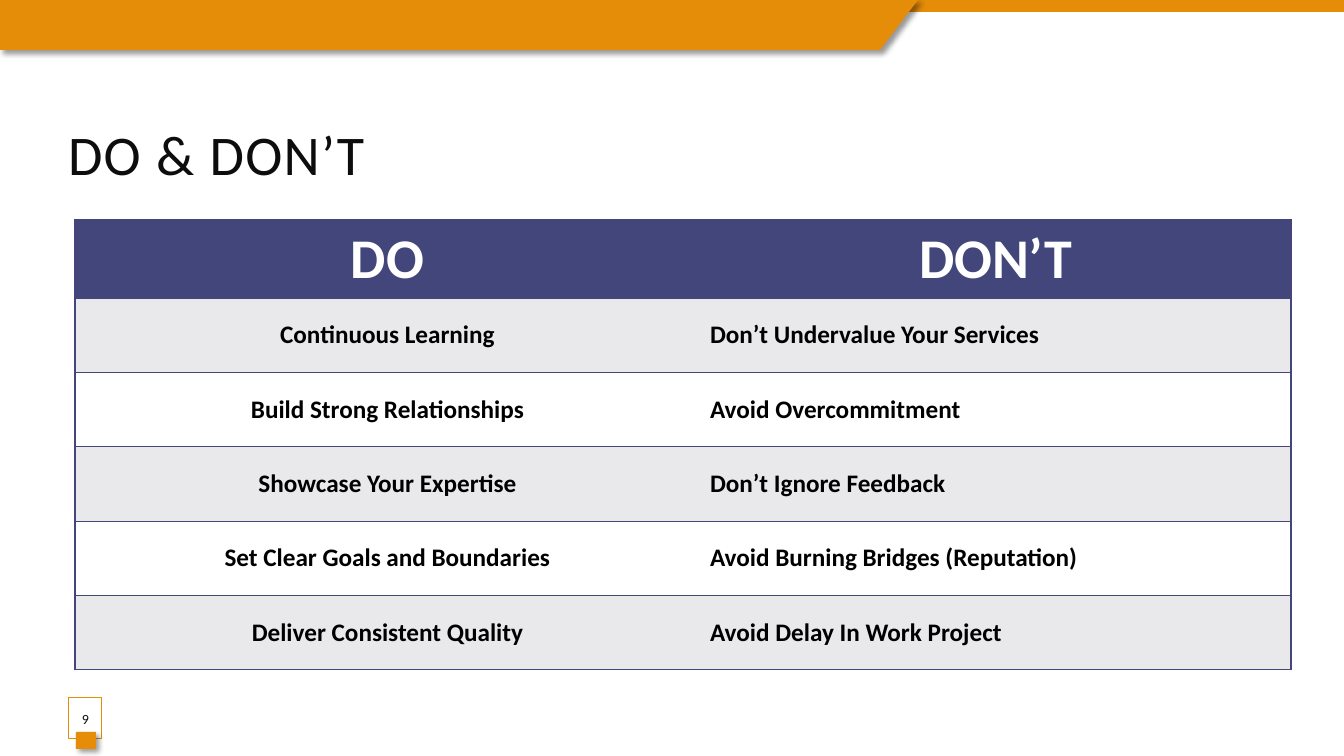
from lxml import etree
from pptx import Presentation
from pptx.dml.color import RGBColor
from pptx.enum.shapes import MSO_SHAPE
from pptx.enum.text import MSO_ANCHOR, PP_ALIGN
from pptx.oxml.ns import qn
from pptx.util import Emu, Pt

RECTANGLE = MSO_SHAPE.RECTANGLE
MIDDLE, BOTTOM = MSO_ANCHOR.MIDDLE, MSO_ANCHOR.BOTTOM
LEFT, CENTER = PP_ALIGN.LEFT, PP_ALIGN.CENTER

# Content
TITLE = "DO & DON’T"
PAGE_NUMBER = "9"
HEADINGS = ("DO", "DON’T")
ADVICE = [
    ("Continuous Learning", "Don’t Undervalue Your Services"),
    ("Build Strong Relationships", "Avoid Overcommitment"),
    ("Showcase Your Expertise", "Don’t Ignore Feedback"),
    ("Set Clear Goals and Boundaries", "Avoid Burning Bridges (Reputation)"),
    ("Deliver Consistent Quality", "Avoid Delay In Work Project"),
]

THEME = {
    "font": "Calibri",
    "orange": "E58C09", "navy": "43467B", "band": "E9E9EC",
    "white": "FFFFFF", "black": "000000", "ink": "0D0D0D",
    "heading_size": 40, "body_size": 18, "number_size": 10,
}

# Layout in px
SLIDE_SIZE = (1344, 756)
TOP_STRIP = (0, 0, 1344, 12)
BANNER = [(0, 0), (918, 0), (880, 50), (0, 50)]
TITLE_BOX = (60, 109, 1192, 78)
NUMBER_BOX = (69, 698, 33, 41)
NUMBER_TAB = (76, 732, 20, 17)
TABLE_BOX = (75, 220, 1216, 450)
FIRST_COLUMN, HEADER_HEIGHT = 625, 78
EMU_PER_PX = 914400 / 100.8


def px(length):
    return Emu(round(length * EMU_PER_PX))


def color(name):
    return RGBColor.from_string(THEME[name])


def apply(target, values):
    for name, value in values.items():
        setattr(target, name, value)


def add_node(parent, tag, **attributes):
    node = etree.SubElement(parent, qn(tag))
    for name, value in attributes.items():
        node.set(name, str(value))
    return node


def write(frame, text, size, ink, align=LEFT, bold=False):
    paragraph = frame.paragraphs[0]
    paragraph.alignment = align
    run = paragraph.add_run()
    run.text = text
    apply(run.font, {"name": THEME["font"], "size": Pt(size), "bold": bold})
    run.font.color.rgb = color(ink)
    return run


def paint(shape, fill):
    shape.shadow.inherit = False
    shape.fill.solid()
    shape.fill.fore_color.rgb = color(fill)
    shape.line.fill.background()


def add_rectangle(slide, box, fill):
    shape = slide.shapes.add_shape(RECTANGLE, *map(px, box))
    paint(shape, fill)
    return shape


def cast_shadow(shape):
    effects = shape._element.spPr.find(qn("a:effectLst"))
    shadow = add_node(effects, "a:outerShdw", blurRad=Pt(4), dist=Pt(3),
                      dir=45 * 60000, algn="tl", rotWithShape=0)
    add_node(add_node(shadow, "a:srgbClr", val=THEME["black"]), "a:alpha", val=40000)


def set_borders(cell, hidden_side):
    properties = cell._tc.get_or_add_tcPr()
    for side in ("lnL", "lnR", "lnT", "lnB"):
        line = add_node(properties, f"a:{side}", w=Pt(1))
        if side == hidden_side:
            add_node(line, "a:noFill")
        else:
            add_node(add_node(line, "a:solidFill"), "a:srgbClr", val=THEME["navy"])


def add_header_band(slide):
    add_rectangle(slide, TOP_STRIP, "orange")
    builder = slide.shapes.build_freeform(*BANNER[0], scale=EMU_PER_PX)
    builder.add_line_segments(BANNER[1:], close=True)
    banner = builder.convert_to_shape()
    paint(banner, "orange")
    cast_shadow(banner)


def add_title(slide):
    frame = slide.shapes.add_textbox(*map(px, TITLE_BOX)).text_frame
    apply(frame, {"word_wrap": True, "vertical_anchor": BOTTOM,
                  "margin_left": px(8), "margin_bottom": 0})
    run = write(frame, TITLE, THEME["heading_size"], "ink")
    run.font._element.set("spc", "100")


def add_page_number(slide):
    box = add_rectangle(slide, NUMBER_BOX, "white")
    tint = box._element.spPr.find(qn("a:solidFill"))[0]
    add_node(tint, "a:alpha", val=82000)
    box.line.color.rgb = color("orange")
    box.line.width = Pt(0.75)
    apply(box.text_frame, {"margin_left": 0, "margin_right": 0,
                           "vertical_anchor": MIDDLE})
    write(box.text_frame, PAGE_NUMBER, THEME["number_size"], "ink", CENTER)
    cast_shadow(add_rectangle(slide, NUMBER_TAB, "orange"))


def add_advice_table(slide):
    rows = [HEADINGS, *ADVICE]
    table = slide.shapes.add_table(len(rows), len(HEADINGS), *map(px, TABLE_BOX)).table
    width, height = TABLE_BOX[2:]
    for column, size in zip(table.columns, (FIRST_COLUMN, width - FIRST_COLUMN)):
        column.width = px(size)
    body_height = (height - HEADER_HEIGHT) / len(ADVICE)

    for row_index, texts in enumerate(rows):
        is_header = row_index == 0
        table.rows[row_index].height = px(HEADER_HEIGHT if is_header else body_height)
        fill = "navy" if is_header else ("white", "band")[row_index % 2]
        size = THEME["heading_size" if is_header else "body_size"]
        ink = "white" if is_header else "black"
        for column_index, text in enumerate(texts):
            cell = table.cell(row_index, column_index)
            cell.vertical_anchor = MIDDLE
            set_borders(cell, ("lnR", "lnL")[column_index])
            cell.fill.solid()
            cell.fill.fore_color.rgb = color(fill)
            align = CENTER if is_header or column_index == 0 else LEFT
            write(cell.text_frame, text, size, ink, align, bold=True)


def main():
    presentation = Presentation()
    presentation.slide_width, presentation.slide_height = map(px, SLIDE_SIZE)
    slide = presentation.slides.add_slide(presentation.slide_layouts[6])
    add_header_band(slide)
    add_title(slide)
    add_page_number(slide)
    add_advice_table(slide)
    presentation.save("out.pptx")


if __name__ == "__main__":
    main()
